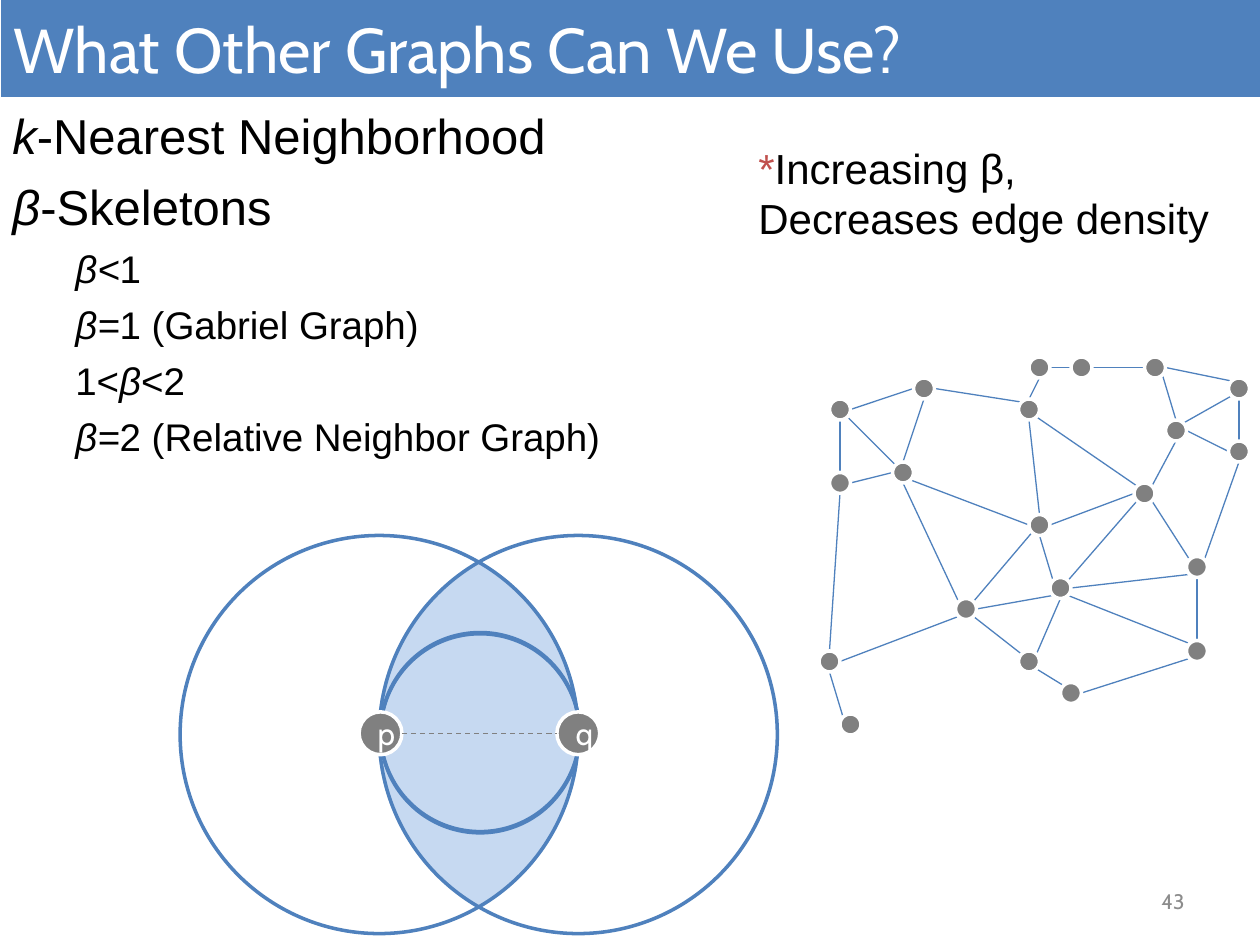
from math import cos, hypot, radians, sin

from lxml import etree
from pptx import Presentation
from pptx.dml.color import RGBColor
from pptx.enum.dml import MSO_LINE
from pptx.enum.shapes import MSO_CONNECTOR, MSO_SHAPE
from pptx.enum.text import MSO_ANCHOR, PP_ALIGN
from pptx.oxml.ns import qn
from pptx.util import Inches, Pt

STRAIGHT = MSO_CONNECTOR.STRAIGHT
OVAL, RECT = MSO_SHAPE.OVAL, MSO_SHAPE.RECTANGLE
MIDDLE = MSO_ANCHOR.MIDDLE
LEFT, CENTER, RIGHT = PP_ALIGN.LEFT, PP_ALIGN.CENTER, PP_ALIGN.RIGHT

COLORS = {"blue": "4F81BD", "lens": "C6D9F1", "node": "808080", "white": "FFFFFF",
          "black": "000000", "red": "C0504D", "number": "8C8C8C"}

TITLE = "What Other Graphs Can We Use?"
PAGE_NUMBER = "43"

# (level, [(text, italic), ...])
GRAPH_TYPES = [
    (0, [("k", True), ("-Nearest Neighborhood", False)]),
    (0, [("β", True), ("-Skeletons", False)]),
    (1, [("β<", True), ("1", False)]),
    (1, [("β=", True), ("1 (Gabriel Graph)", False)]),
    (1, [("1<", False), ("β", True), ("<2", False)]),
    (1, [("β=", True), ("2 (Relative Neighbor Graph)", False)]),
]
LEVELS = [{"size": 28, "margin": 0.38, "before": 7},
          {"size": 22, "margin": 0.88, "before": 5.5}]
HANGING = -0.38

DENSITY_NOTE = [[("*", "red"), ("Increasing β,", "black")],
                [("Decreases edge density", "black")]]

# Node centres, in twelfths of an inch
GRID = 1 / 12
NODES = {
    "A": (80, 39), "B": (88, 37), "C": (99, 35), "D": (103, 35), "E": (110, 35),
    "F": (118, 37), "G": (98, 39), "H": (112, 41), "I": (118, 43), "J": (86, 45),
    "K": (80, 46), "L": (109, 47), "M": (99, 50), "N": (114, 54), "O": (101, 56),
    "P": (92, 58), "Q": (114, 62), "R": (79, 63), "S": (98, 63), "T": (102, 66),
    "U": (81, 69),
}
# Node and the compass side the edge leaves from, then the same for its far end
EDGES = """
A se J nw, K s R n, M w J se, J s P nw, G se L nw, O sw P e, M sw P ne, O ne L sw,
N sw O e, O se Q nw, I s N ne, E e F nw, F sw H ne, A s K n, A e B w, J w K e,
U nw R s, P sw R e, B s J n, B e G nw, D w C e, C s G n, G s M n, P se S nw,
S se T nw, O s S ne, M s O nw, M e L w, T e Q sw, N s Q n, L se N nw, H s L ne,
D e E w, E se H n, H e I w, F s I n
"""

# Circles around the points p and q
P_CENTER, Q_CENTER = (3.01, 5.83), (4.59, 5.83)
RADIUS = 1.58
POINTS = {"p": (3.02, 5.82), "q": (4.59, 5.82)}
POINT_RADIUS = 0.17


def rgb(name):
    return RGBColor.from_string(COLORS[name])


def paint(shape, fill=None, line=None, width=2):
    shape.shadow.inherit = False
    if fill:
        shape.fill.solid()
        shape.fill.fore_color.rgb = rgb(fill)
    else:
        shape.fill.background()
    if line:
        shape.line.color.rgb = rgb(line)
        shape.line.width = Pt(width)
    else:
        shape.line.fill.background()
    return shape


def add_circle(slide, center, radius, fill=None, line="blue"):
    x, y = center
    box = (Inches(v) for v in (x - radius, y - radius, 2 * radius, 2 * radius))
    return paint(slide.shapes.add_shape(OVAL, *box), fill, line)


def add_line(slide, start, end, color):
    line = slide.shapes.add_connector(STRAIGHT, *(Inches(v) for v in (*start, *end)))
    line.line.color.rgb = rgb(color)
    line.line.width = Pt(0.75)
    etree.SubElement(line._element.spPr, qn("a:effectLst"))
    return line


def add_text_box(slide, left, top, width, height, wrap=True):
    box = slide.shapes.add_textbox(*(Inches(v) for v in (left, top, width, height)))
    box.text_frame.word_wrap = wrap
    return box.text_frame


def paragraphs(frame, count):
    return [frame.paragraphs[0]] + [frame.add_paragraph() for _ in range(count - 1)]


def add_run(paragraph, text, size, font, color, italic=False):
    run = paragraph.add_run()
    run.text = text
    run.font.size, run.font.name, run.font.italic = Pt(size), font, italic
    run.font.color.rgb = rgb(color)


def set_label(frame, text, size, color, align):
    frame.vertical_anchor = MIDDLE
    frame.paragraphs[0].alignment = align
    add_run(frame.paragraphs[0], text, size, "Cabin", color)


def arc(center, start, stop):
    """Points in inches along a circle of RADIUS, every five degrees."""
    step = 5 if stop > start else -5
    return [(center[0] + RADIUS * cos(radians(a)), center[1] + RADIUS * sin(radians(a)))
            for a in range(start, stop + step, step)]


def add_lens(slide):
    """Fill the overlap of the two large circles, which cross at sixty degrees."""
    outline = arc(Q_CENTER, 240, 120) + arc(P_CENTER, 60, -60)
    corners = [(Inches(x), Inches(y)) for x, y in outline]
    builder = slide.shapes.build_freeform(*corners[0])
    builder.add_line_segments(corners[1:], close=True)
    paint(builder.convert_to_shape(), "lens", "lens")


def add_graph_types(slide):
    frame = add_text_box(slide, 0, 0.75, 10, 3.4)
    frame.margin_top = Inches(0.09)
    lines = paragraphs(frame, len(GRAPH_TYPES))
    for row, (line, (level, runs)) in enumerate(zip(lines, GRAPH_TYPES)):
        style = LEVELS[level]
        line.level = level
        properties = line._p.get_or_add_pPr()
        properties.set("marL", str(Inches(style["margin"])))
        properties.set("indent", str(Inches(HANGING)))
        if row:
            line.space_before = Pt(style["before"])
        for text, italic in runs:
            add_run(line, text, style["size"], "Arial", "black", italic)


def edge_end(node, side):
    """Point on the rim of a node, on the given compass side."""
    dx = ("e" in side) - ("w" in side)
    dy = ("s" in side) - ("n" in side)
    x, y = NODES[node]
    length = hypot(dx, dy)
    return (x + dx / length) * GRID, (y + dy / length) * GRID


def add_graph(slide):
    for edge in EDGES.split(","):
        start, start_side, end, end_side = edge.split()
        add_line(slide, edge_end(start, start_side), edge_end(end, end_side), "blue")
    for x, y in NODES.values():
        add_circle(slide, (x * GRID, y * GRID), GRID, "node", "white")


def main():
    deck = Presentation()
    deck.slide_width, deck.slide_height = Inches(10), Inches(7.5)
    slide = deck.slides.add_slide(deck.slide_layouts[6])

    add_lens(slide)
    for center in (P_CENTER, Q_CENTER):
        add_circle(slide, center, RADIUS)
    add_circle(slide, (3.81, 5.82), RADIUS / 2)
    add_graph_types(slide)
    add_circle(slide, (3.81, 5.81), RADIUS / 2)
    add_graph(slide)

    for name, center in POINTS.items():
        point = add_circle(slide, center, POINT_RADIUS, "node", "white")
        set_label(point.text_frame, name, 18, "white", CENTER)
    (p_x, y), (q_x, _) = POINTS.values()
    segment = add_line(slide, (p_x + POINT_RADIUS, y), (q_x - POINT_RADIUS, y), "node")
    segment.line.dash_style = MSO_LINE.DASH

    number = add_text_box(slide, 7.17, 6.95, 2.33, 0.4)
    set_label(number, PAGE_NUMBER, 12, "number", RIGHT)

    note = add_text_box(slide, 5.92, 1.08, 3.82, 0.91, wrap=False)
    for line, runs in zip(paragraphs(note, len(DENSITY_NOTE)), DENSITY_NOTE):
        for text, color in runs:
            add_run(line, text, 24, "Arial", color)

    banner = slide.shapes.add_shape(RECT, Inches(0.01), 0, Inches(10), Inches(0.77))
    set_label(paint(banner, "blue").text_frame, TITLE, 36.1, "white", LEFT)

    deck.save("out.pptx")


if __name__ == "__main__":
    main()
